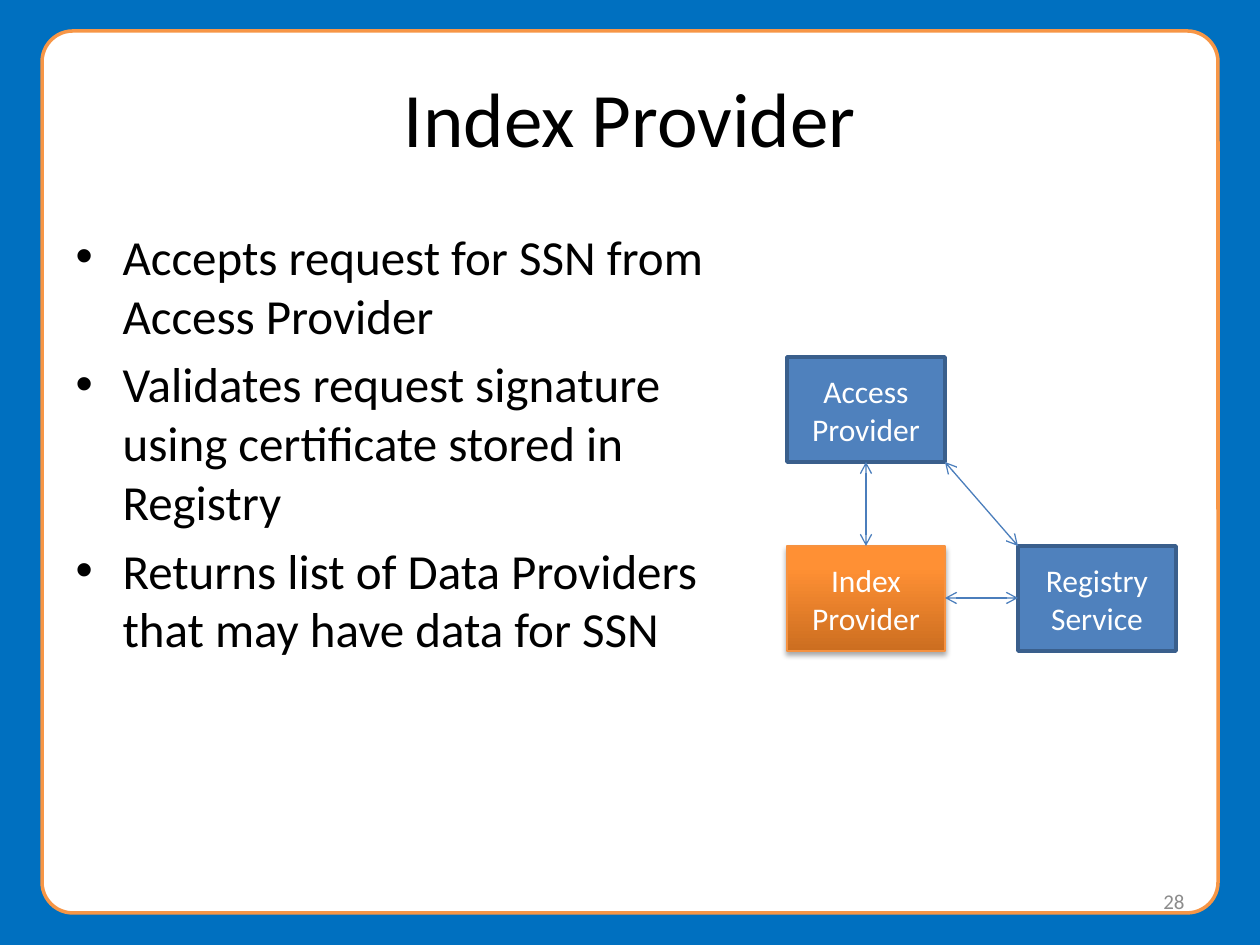
from copy import deepcopy

from lxml.etree import SubElement
from pptx import Presentation
from pptx.dml.color import RGBColor
from pptx.enum.shapes import MSO_CONNECTOR, MSO_SHAPE
from pptx.enum.text import MSO_ANCHOR, MSO_AUTO_SIZE, PP_ALIGN
from pptx.oxml.ns import qn
from pptx.util import Emu, Pt

FONT = "Calibri"
BLUE_BG = RGBColor(0x00, 0x70, 0xC0)
WHITE = RGBColor(0xFF, 0xFF, 0xFF)
BLACK = RGBColor(0x00, 0x00, 0x00)
GREY = RGBColor(0x8C, 0x8C, 0x8C)
PANEL_LINE = RGBColor(0xF7, 0x96, 0x46)
BOX_FILL = RGBColor(0x4F, 0x81, 0xBD)
BOX_LINE = RGBColor(0x3A, 0x5F, 0x8C)
ARROW = RGBColor(0x4B, 0x7E, 0xBC)
ACTIVE_LINE = RGBColor(0xF6, 0x92, 0x40)
ACTIVE_STOPS = [
    (0, RGBColor(0xCC, 0x6E, 0x20)),
    (0.8, RGBColor(0xFF, 0x90, 0x34)),
    (1, RGBColor(0xFF, 0x91, 0x36)),
]

BOX_W, BOX_H = 158, 105
LEFT_X, RIGHT_X = 787, 1018
TOP_Y, BOTTOM_Y = 357, 546

BULLETS = [
    "Accepts request for SSN from Access Provider",
    "Validates request signature using certificate stored in Registry",
    "Returns list of Data Providers that may have data for SSN",
]


def px(n):
    return Emu(round(n * 914400 / 126))


def place(sp, x, y, w, h):
    sp.left, sp.top, sp.width, sp.height = px(x), px(y), px(w), px(h)


def format_text(tf, size, color, align, anchor=MSO_ANCHOR.MIDDLE):
    tf.word_wrap = True
    tf.auto_size = MSO_AUTO_SIZE.NONE
    tf.vertical_anchor = anchor
    for p in tf.paragraphs:
        p.alignment = align
        for r in p.runs:
            r.font.name, r.font.size = FONT, Pt(size)
            r.font.color.rgb = color


def add_panel(s):
    sp = s.shapes.add_shape(MSO_SHAPE.ROUNDED_RECTANGLE,
                            px(42), px(31), px(1176), px(882))
    sp.adjustments[0] = 0.035
    sp.shadow.inherit = False
    sp.fill.solid()
    sp.fill.fore_color.rgb = WHITE
    sp.line.color.rgb = PANEL_LINE
    sp.line.width = Pt(2)
    # Send behind the placeholders
    s.shapes._spTree.insert(2, sp._element)


def add_title(s, text):
    sp = s.shapes.title
    place(sp, 63, 38, 1134, 157)
    sp.text_frame.text = text
    format_text(sp.text_frame, 44, BLACK, PP_ALIGN.CENTER)


def add_bullets(s, items):
    sp = s.placeholders[1]
    place(sp, 63, 220, 714, 624)
    tf = sp.text_frame
    tf.text = "\n".join(items)
    for i, p in enumerate(tf.paragraphs):
        pPr = p._p.get_or_add_pPr()
        pPr.set("marL", str(px(47)))
        pPr.set("indent", str(-px(47)))
        p.space_before = Pt(5.6 if i else 0)
        SubElement(pPr, qn("a:buFont"), typeface="Arial")
        SubElement(pPr, qn("a:buChar"), char="•")
    format_text(tf, 28, BLACK, PP_ALIGN.LEFT, MSO_ANCHOR.TOP)


def add_page_number(s, text):
    sp = s.shapes.add_textbox(px(903), px(876), px(294), px(50))
    sp.text_frame.text = text
    format_text(sp.text_frame, 12, GREY, PP_ALIGN.RIGHT)


def add_box(s, text, x, y):
    sp = s.shapes.add_shape(MSO_SHAPE.RECTANGLE, px(x), px(y), px(BOX_W), px(BOX_H))
    sp.shadow.inherit = False
    sp.fill.solid()
    sp.fill.fore_color.rgb = BOX_FILL
    sp.line.color.rgb = BOX_LINE
    sp.line.width = Pt(2)
    sp.text_frame.text = text
    format_text(sp.text_frame, 18, WHITE, PP_ALIGN.CENTER)
    return sp


def highlight(sp):
    """Orange gradient and soft shadow for the box this slide is about."""
    sp.line.color.rgb = ACTIVE_LINE
    sp.line.width = Pt(0.75)
    sp.fill.gradient()
    sp.fill.gradient_angle = 90
    spPr = sp._element.spPr
    stops = spPr.find(qn("a:gradFill")).find(qn("a:gsLst"))
    stops.append(deepcopy(stops[0]))
    for stop, (position, color) in zip(sp.fill.gradient_stops, ACTIVE_STOPS):
        stop.position = position
        stop.color.rgb = color
    shadow = SubElement(spPr.find(qn("a:effectLst")), qn("a:outerShdw"),
                        blurRad=str(Pt(3.1)), dist=str(Pt(1.8)),
                        dir="5400000", rotWithShape="0")
    color = SubElement(shadow, qn("a:srgbClr"), val="000000")
    SubElement(color, qn("a:alpha"), val="35000")


def add_arrow(s, x1, y1, x2, y2):
    c = s.shapes.add_connector(MSO_CONNECTOR.STRAIGHT, px(x1), px(y1), px(x2), px(y2))
    c.line.color.rgb = ARROW
    c.line.width = Pt(0.75)
    ln = c.line._get_or_add_ln()
    for end in ("a:headEnd", "a:tailEnd"):
        SubElement(ln, qn(end), type="arrow")
    SubElement(c._element.spPr, qn("a:effectLst"))


def main():
    prs = Presentation()
    prs.slide_width, prs.slide_height = px(1260), px(945)
    s = prs.slides.add_slide(prs.slide_layouts[1])
    s.background.fill.solid()
    s.background.fill.fore_color.rgb = BLUE_BG

    # Frame and text
    add_panel(s)
    add_title(s, "Index Provider")
    add_bullets(s, BULLETS)
    add_page_number(s, "28")

    # Service boxes
    add_box(s, "Access Provider", LEFT_X, TOP_Y)
    highlight(add_box(s, "Index Provider", LEFT_X, BOTTOM_Y))
    add_box(s, "Registry Service", RIGHT_X, BOTTOM_Y)

    # Two-way arrows between the boxes
    right, bottom = LEFT_X + BOX_W, TOP_Y + BOX_H
    mid_x, mid_y = LEFT_X + BOX_W // 2, BOTTOM_Y + BOX_H // 2
    add_arrow(s, right, bottom, RIGHT_X, BOTTOM_Y)
    add_arrow(s, mid_x, bottom, mid_x, BOTTOM_Y)
    add_arrow(s, right, mid_y, RIGHT_X, mid_y)

    prs.save("out.pptx")


if __name__ == "__main__":
    main()
